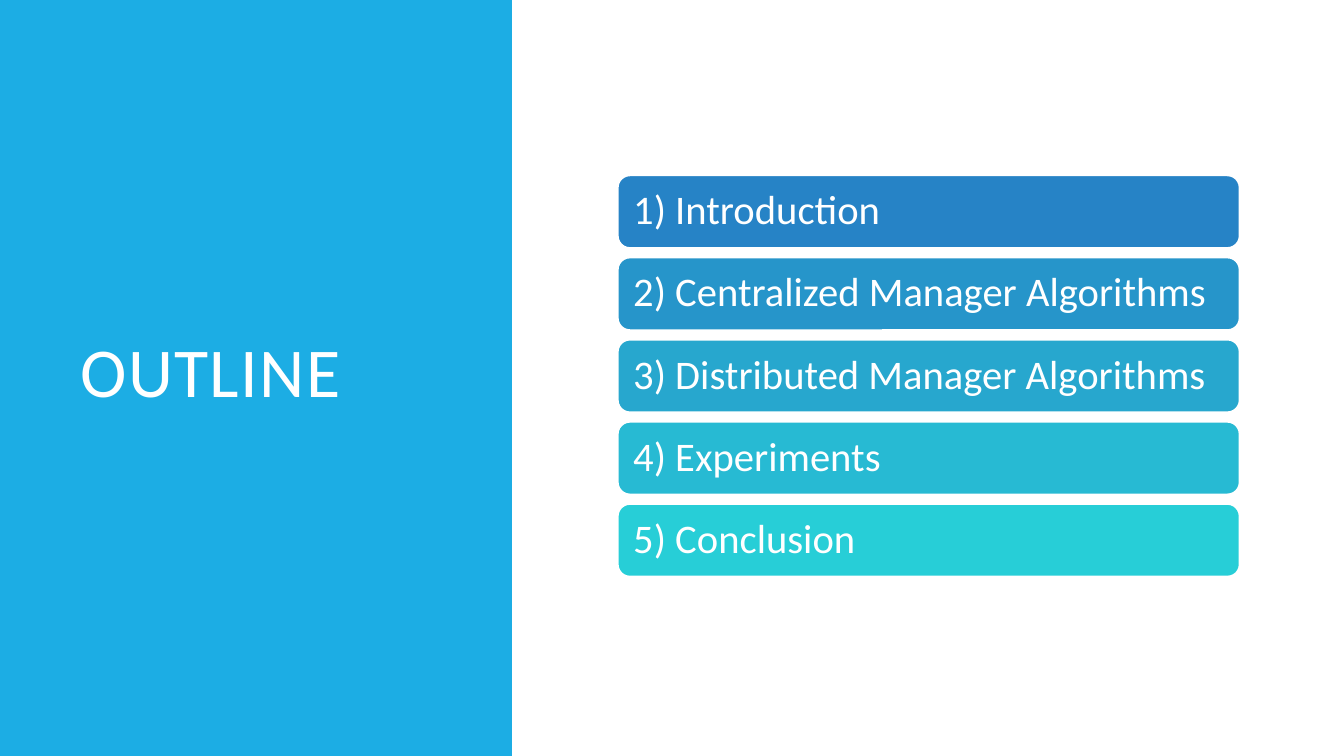
import pptx
import pptx.dml.color
import pptx.enum.shapes
import pptx.enum.text
import pptx.util

Cm = pptx.util.Cm
Pt = pptx.util.Pt
KIND = pptx.enum.shapes.MSO_SHAPE

HUES = {
    "panel": "1CADE4",
    "text": "FFFFFF",
    "edge": "FFFFFF",
}
ITEMS = [
    ("1) Introduction", "2683C6"),
    ("2) Centralized Manager Algorithms", "2695CA"),
    ("3) Distributed Manager Algorithms", "27A7CE"),
    ("4) Experiments", "27BAD3"),
    ("5) Conclusion", "27CED7"),
]
TOP, STEP = 4.42, 2.07


def color(code):
    return pptx.dml.color.RGBColor.from_string(code)


def apply(target, values):
    for name, value in values.items():
        setattr(target, name, value)


def write(shape, text, size, lead, inset):
    """Put one left-aligned, vertically centred line in a shape."""
    frame = shape.text_frame
    apply(frame, {
        "word_wrap": True,
        "vertical_anchor": pptx.enum.text.MSO_ANCHOR.MIDDLE,
        "margin_left": Cm(inset),
        "margin_right": Cm(inset),
    })
    para = frame.paragraphs[0]
    apply(para, {"alignment": pptx.enum.text.PP_ALIGN.LEFT, "line_spacing": lead})
    run = para.add_run()
    run.text = text
    apply(run.font, {"name": "Calibri", "size": Pt(size)})
    run.font.color.rgb = color(HUES["text"])
    return run


def block(slide, kind, box, fill, edge=None):
    """Draw a filled shape, outlined if an edge colour is given."""
    shape = slide.shapes.add_shape(kind, *map(Cm, box))
    shape.shadow.inherit = False
    shape.fill.solid()
    shape.fill.fore_color.rgb = color(fill)
    if edge:
        shape.line.color.rgb = color(edge)
        shape.line.width = Pt(1.25)
    else:
        shape.line.fill.background()
    return shape


def title(slide, text, box):
    """Add the heading with slightly spaced letters."""
    shape = slide.shapes.add_textbox(*map(Cm, box))
    run = write(shape, text, 50, 0.8, 0.25)
    run._r.get_or_add_rPr().set("spc", "100")


def main():
    deck = pptx.Presentation()
    apply(deck, {"slide_width": Cm(33.87), "slide_height": Cm(19.05)})
    slide = deck.slides.add_slide(deck.slide_layouts[6])

    # Left panel and heading
    block(slide, KIND.RECTANGLE, (0, 0, 12.9, 19.05), HUES["panel"])
    title(slide, "OUTLINE", (1.78, 1.78, 9.5, 15.47))

    # Outline bars
    for row, (text, fill) in enumerate(ITEMS):
        box = (15.57, TOP + row * STEP, 15.67, 1.83)
        bar = block(slide, KIND.ROUNDED_RECTANGLE, box, fill, HUES["edge"])
        write(bar, text, 29, 0.9, 0.3)

    deck.save("out.pptx")


if __name__ == "__main__":
    main()
